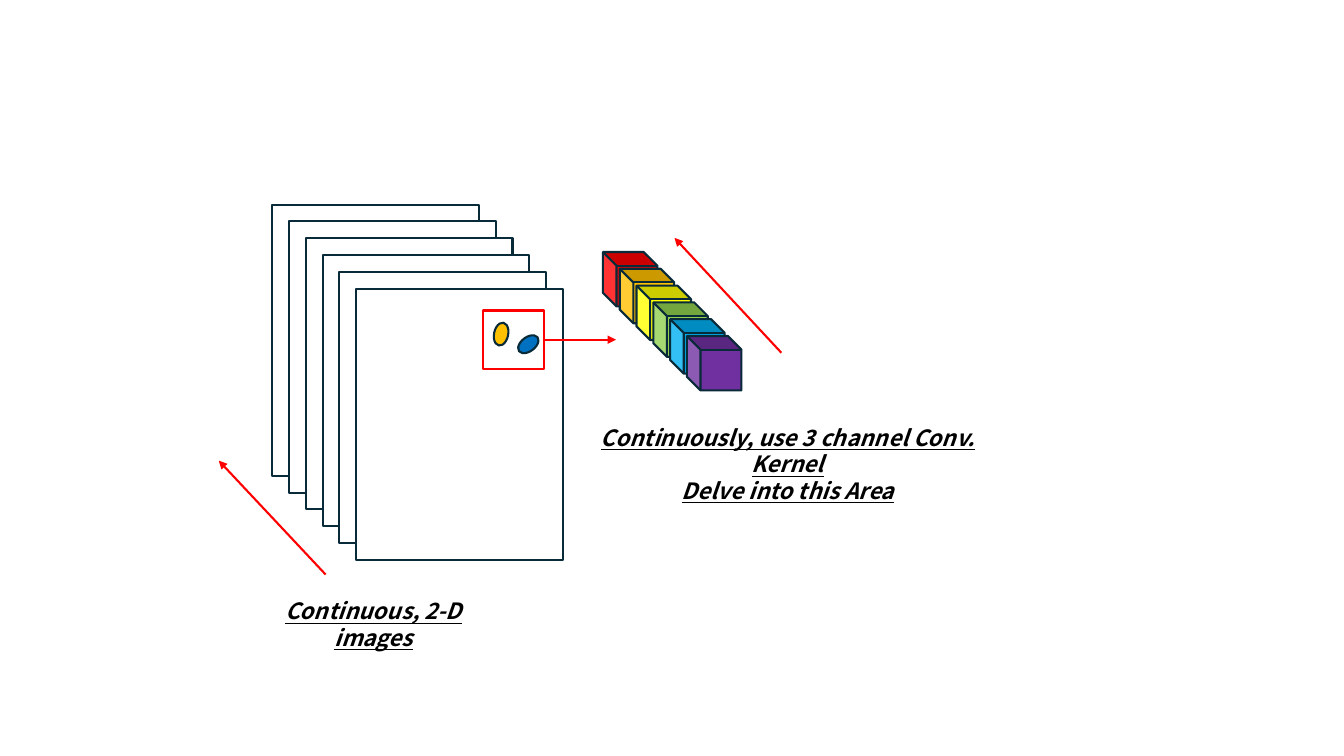
from pptx import Presentation
from pptx.dml.color import RGBColor
from pptx.enum.shapes import MSO_CONNECTOR, MSO_SHAPE
from pptx.enum.text import PP_ALIGN
from pptx.oxml.ns import qn
from pptx.util import Inches, Pt
from lxml.etree import SubElement

COLORS = {
    "paper": "FFFFFF", "outline": "092A39", "accent": "FF0000", "text": "000000",
    "red": "FF0000", "orange": "FFC000", "yellow": "FFFF00",
    "green": "92D050", "sky": "00B0F0", "purple": "7030A0", "blue": "0070C0",
}
FONT = "Noto Sans CJK SC"
STEP = 1 / 6  # diagonal offset between stacked images and between cubes


def add_outlined(shapes, preset, box, fill, line="outline", rotation=0):
    outlined = shapes.add_shape(preset, *[Inches(v) for v in box])
    outlined.shadow.inherit = False
    outlined.rotation = rotation
    outlined.fill.solid()
    outlined.fill.fore_color.rgb = RGBColor.from_string(COLORS[fill])
    outlined.line.color.rgb = RGBColor.from_string(COLORS[line])
    outlined.line.width = Pt(1.5)
    return outlined


def add_arrow(shapes, start, end):
    arrow = shapes.add_connector(MSO_CONNECTOR.STRAIGHT, *[Inches(v) for v in start + end])
    arrow.line.color.rgb = RGBColor.from_string(COLORS["accent"])
    arrow.line.width = Pt(1.5)
    SubElement(arrow.line._get_or_add_ln(), qn("a:tailEnd"), type="triangle")
    SubElement(arrow._element.spPr, qn("a:effectLst"))
    return arrow


prs = Presentation()
prs.slide_width, prs.slide_height = Inches(13.33), Inches(7.5)
slide = prs.slides.add_slide(prs.slide_layouts[6])
shapes = slide.shapes

# Stack of 2-D images
for i in range(6):
    add_outlined(shapes, MSO_SHAPE.RECTANGLE,
                 (2.7 + i * STEP, 2.03 + i * STEP, 2.05, 2.69), "paper")

# Row of convolution cubes
kernel_cubes = shapes.add_group_shape()
for i, color in enumerate(("red", "orange", "yellow", "green", "sky", "purple")):
    add_outlined(kernel_cubes.shapes, MSO_SHAPE.CUBE,
                 (5.98 + i * STEP, 2.5 + i * STEP, 0.54, 0.54), color, rotation=270)

# Area of interest and direction arrows
area = add_outlined(shapes, MSO_SHAPE.RECTANGLE, (4.79, 3.08, 0.61, 0.58), "paper", "accent")
area_arrow = add_arrow(shapes, (5.4, 3.37), (6.11, 3.37))
area_arrow.begin_connect(area, 3)
add_arrow(shapes, (7.75, 3.5), (6.69, 2.36))
add_arrow(shapes, (3.23, 5.7), (2.17, 4.57))

# Objects inside the area
for left, top, rotation, color in ((4.9, 3.2, 11.7, "orange"), (5.17, 3.3, 53.1, "blue")):
    add_outlined(shapes, MSO_SHAPE.FLOWCHART_CONNECTOR,
                 (left, top, 0.14, 0.23), color, rotation=rotation)

# Captions
captions = (
    ((2.37, 5.88, 2.67, 0.37), ["Continuous, 2-D images"]),
    ((5.62, 4.16, 4.39, 0.64),
     ["Continuously, use 3 channel Conv. Kernel", "Delve into this Area"]),
)
for box, lines in captions:
    caption = shapes.add_textbox(*[Inches(v) for v in box]).text_frame
    caption.word_wrap = True
    for i, line in enumerate(lines):
        paragraph = caption.add_paragraph() if i else caption.paragraphs[0]
        paragraph.alignment = PP_ALIGN.CENTER
        paragraph.line_spacing = Pt(19)
        run = paragraph.add_run()
        run.text = line
        font = run.font
        font.name, font.size = FONT, Pt(16)
        font.bold = font.italic = font.underline = True
        font.color.rgb = RGBColor.from_string(COLORS["text"])

prs.save("out.pptx")
